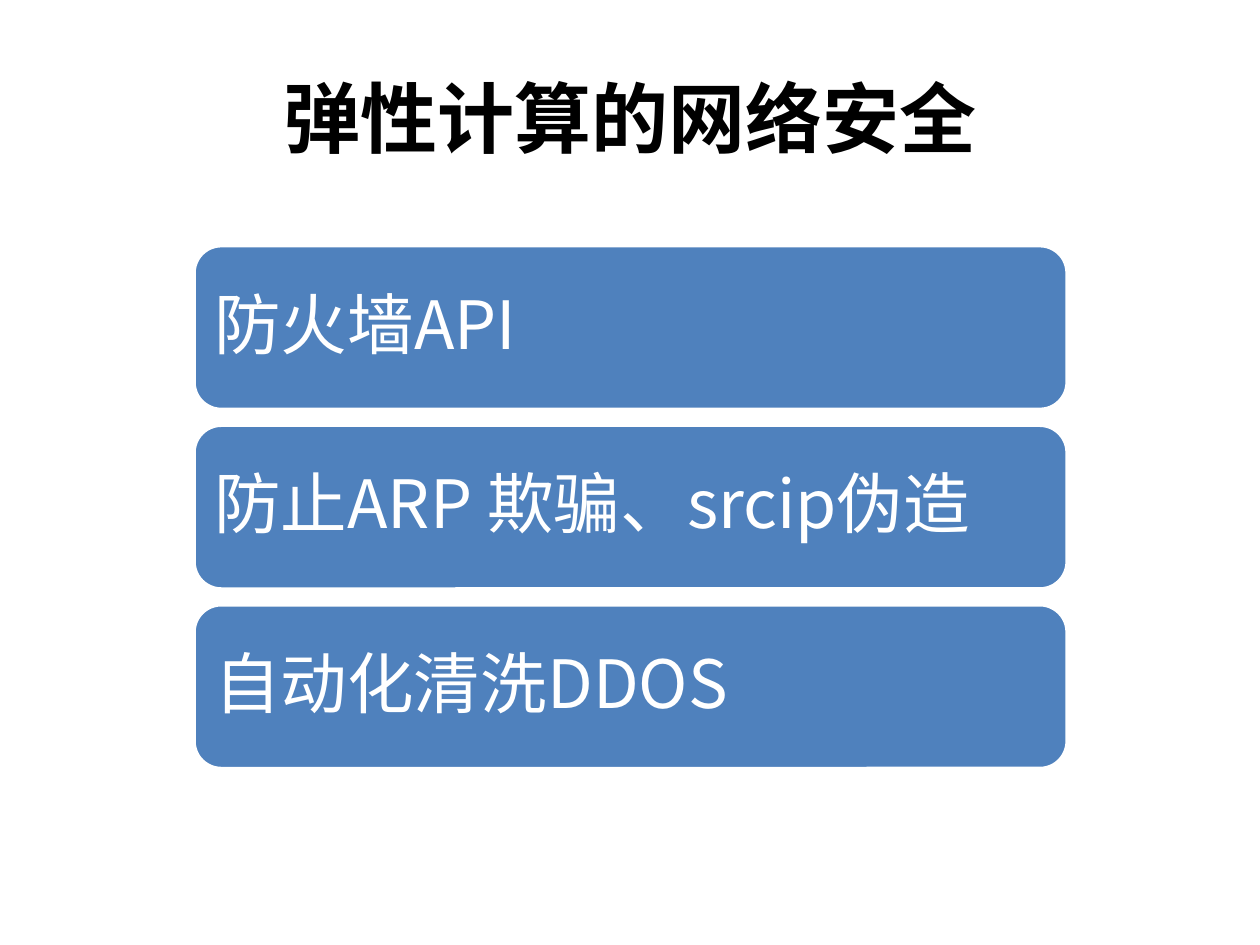
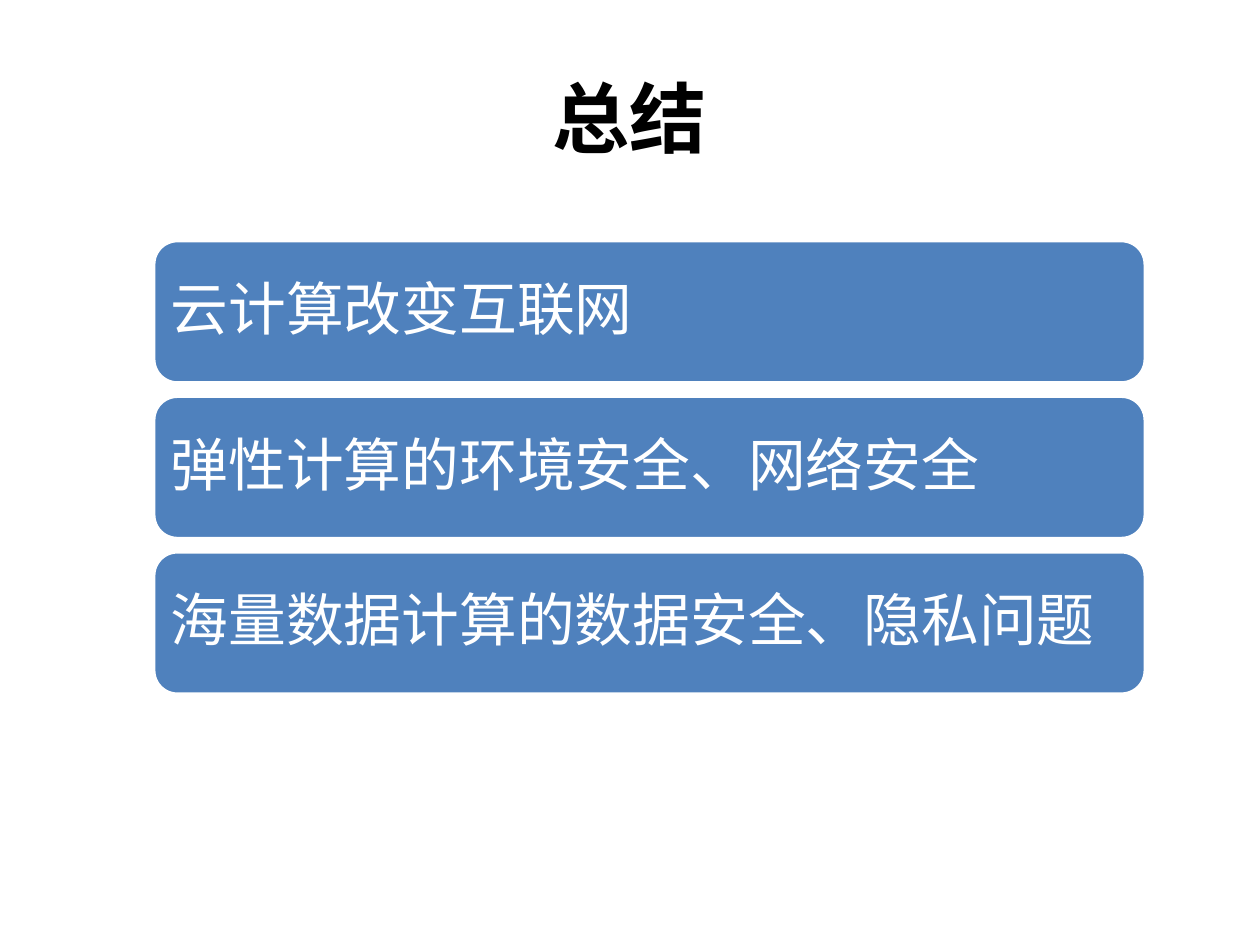
"""Build two title-and-bars slides on the security of elastic computing."""
import dataclasses

import pptx
import pptx.dml.color
import pptx.enum.shapes
import pptx.enum.text
import pptx.util
from lxml import etree
from pptx.oxml.ns import qn

Inches = pptx.util.Inches
Pt = pptx.util.Pt
RGB = pptx.dml.color.RGBColor.from_string
ALIGN = pptx.enum.text.PP_ALIGN


@dataclasses.dataclass(frozen=True)
class Theme:
    font: str = "Noto Sans CJK SC"
    ink: str = "000000"
    paper: str = "FFFFFF"
    bar: str = "4F81BD"
    title_size: int = 44
    outline: int = 2


THEME = Theme()
TITLE_AREA = (0.5, 0.3, 9, 1.25)

SLIDES = [
    {
        "title": "弹性计算的网络安全",
        "points": ["防火墙API", "防止ARP 欺骗、srcip伪造", "自动化清洗DDOS"],
        "first_bar": (1.54, 1.95, 6.93, 1.3),
        "pitch": 1.425,
        "size": 38,
        "inset": 0.1,
    },
    {
        "title": "总结",
        "points": ["云计算改变互联网", "弹性计算的环境安全、网络安全", "海量数据计算的数据安全、隐私问题"],
        "first_bar": (1.22, 1.91, 7.87, 1.13),
        "pitch": 1.235,
        "size": 33,
        "inset": 0.08,
    },
]


def write(holder, text, *, size, color, bold=False, align=ALIGN.LEFT, spacing=1.0, inset=0.1):
    frame = holder.text_frame
    frame.word_wrap = True
    frame.vertical_anchor = pptx.enum.text.MSO_ANCHOR.MIDDLE
    frame.margin_left = frame.margin_right = Inches(inset)
    frame.margin_top = frame.margin_bottom = Inches(inset)
    paragraph = frame.paragraphs[0]
    paragraph.alignment = align
    paragraph.line_spacing = spacing
    run = paragraph.add_run()
    run.text = text
    run.font.size = Pt(size)
    run.font.bold = bold
    run.font.color.rgb = RGB(color)
    run.font.name = THEME.font
    etree.SubElement(run.font._element, qn("a:ea"), typeface=THEME.font)


def add_title(slide, text):
    title = slide.shapes.add_textbox(*map(Inches, TITLE_AREA))
    write(title, text, size=THEME.title_size, color=THEME.ink, bold=True, align=ALIGN.CENTER)


def add_bar(slide, text, area, size, inset):
    bar = slide.shapes.add_shape(
        pptx.enum.shapes.MSO_SHAPE.ROUNDED_RECTANGLE, *map(Inches, area))
    bar.shadow.inherit = False
    bar.fill.solid()
    bar.fill.fore_color.rgb = RGB(THEME.bar)
    bar.line.color.rgb = RGB(THEME.paper)
    bar.line.width = Pt(THEME.outline)
    write(bar, text, size=size, color=THEME.paper, spacing=0.9, inset=inset)


deck = pptx.Presentation()
deck.slide_width, deck.slide_height = Inches(10), Inches(7.5)
blank = deck.slide_layouts[6]

for content in SLIDES:
    slide = deck.slides.add_slide(blank)
    add_title(slide, content["title"])
    left, top, width, height = content["first_bar"]
    for row, point in enumerate(content["points"]):
        area = (left, top + row * content["pitch"], width, height)
        add_bar(slide, point, area, content["size"], content["inset"])

deck.save("out.pptx")
